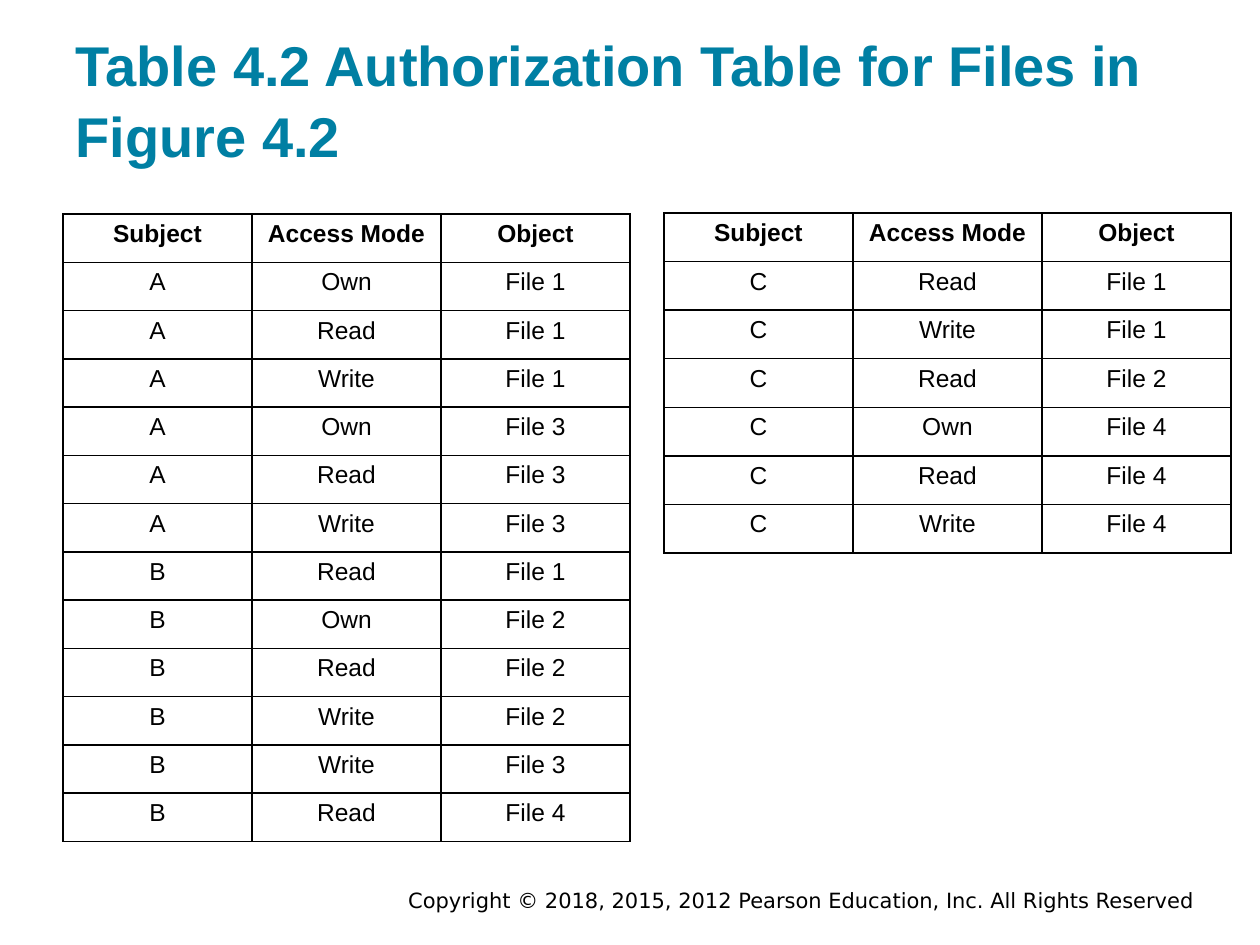
import dataclasses

import lxml.etree
import pptx
import pptx.dml.color
import pptx.enum.text
import pptx.oxml.ns
import pptx.util

ALIGN = pptx.enum.text.PP_ALIGN
ANCHOR = pptx.enum.text.MSO_ANCHOR
EMU_PER_PX = 914400 / 126


@dataclasses.dataclass(frozen=True)
class Theme:
    heading: str = "007FA3"
    ink: str = "000000"
    main_font: str = "Arial"
    footer_font: str = "DejaVu Sans"
    title_size: int = 32
    cell_size: int = 14
    footer_size: int = 12
    border_width: int = 1


def px(length):
    return pptx.util.Emu(round(length * EMU_PER_PX))


def write(frame, text, *, font, size, color, bold=False, align=ALIGN.LEFT,
          anchor=ANCHOR.TOP, line_spacing=None):
    frame.word_wrap = True
    frame.vertical_anchor = anchor
    paragraph = frame.paragraphs[0]
    paragraph.alignment = align
    paragraph.line_spacing = line_spacing
    run = paragraph.add_run()
    run.text = text
    run.font.name = font
    run.font.size = pptx.util.Pt(size)
    run.font.bold = bold
    run.font.color.rgb = pptx.dml.color.RGBColor.from_string(color)


class SlideBuilder:
    def __init__(self, slide, theme):
        self.slide = slide
        self.theme = theme

    def title(self, text, left, top, width, height):
        heading = self.slide.shapes.title
        heading.left, heading.top = px(left), px(top)
        heading.width, heading.height = px(width), px(height)
        frame = heading.text_frame
        frame.auto_size = pptx.enum.text.MSO_AUTO_SIZE.NONE
        frame.margin_top = frame.margin_bottom = pptx.util.Inches(0.1)
        write(frame, text, font=self.theme.main_font, size=self.theme.title_size,
              color=self.theme.heading, bold=True, anchor=ANCHOR.BOTTOM,
              line_spacing=1.05)

    def footer(self, text, left, top, width, height):
        notice = self.slide.shapes.add_textbox(px(left), px(top), px(width), px(height))
        write(notice.text_frame, text, font=self.theme.footer_font,
              size=self.theme.footer_size, color=self.theme.ink,
              align=ALIGN.RIGHT, anchor=ANCHOR.MIDDLE)

    def border(self, cell):
        properties = cell._tc.get_or_add_tcPr()
        for position, side in enumerate(("lnL", "lnR", "lnT", "lnB")):
            line = lxml.etree.Element(
                pptx.oxml.ns.qn(f"a:{side}"),
                w=str(pptx.util.Pt(self.theme.border_width)))
            fill = lxml.etree.SubElement(line, pptx.oxml.ns.qn("a:solidFill"))
            lxml.etree.SubElement(fill, pptx.oxml.ns.qn("a:srgbClr"), val=self.theme.ink)
            properties.insert(position, line)

    def table(self, rows, left, top, width, height):
        grid = self.slide.shapes.add_table(
            len(rows), len(rows[0]), px(left), px(top), px(width), px(height)).table
        for row_index, row in enumerate(rows):
            for column_index, text in enumerate(row):
                cell = grid.cell(row_index, column_index)
                cell.fill.background()
                self.border(cell)
                write(cell.text_frame, text, font=self.theme.main_font,
                      size=self.theme.cell_size, color=self.theme.ink,
                      bold=row_index == 0, align=ALIGN.CENTER)


HEADER = ("Subject", "Access Mode", "Object")

SUBJECTS_A_AND_B = [
    HEADER,
    ("A", "Own", "File 1"),
    ("A", "Read", "File 1"),
    ("A", "Write", "File 1"),
    ("A", "Own", "File 3"),
    ("A", "Read", "File 3"),
    ("A", "Write", "File 3"),
    ("B", "Read", "File 1"),
    ("B", "Own", "File 2"),
    ("B", "Read", "File 2"),
    ("B", "Write", "File 2"),
    ("B", "Write", "File 3"),
    ("B", "Read", "File 4"),
]

SUBJECT_C = [
    HEADER,
    ("C", "Read", "File 1"),
    ("C", "Write", "File 1"),
    ("C", "Read", "File 2"),
    ("C", "Own", "File 4"),
    ("C", "Read", "File 4"),
    ("C", "Write", "File 4"),
]


def main():
    presentation = pptx.Presentation()
    presentation.slide_width, presentation.slide_height = px(1260), px(945)
    slide = presentation.slides.add_slide(presentation.slide_layouts[5])
    builder = SlideBuilder(slide, Theme())
    builder.footer("Copyright © 2018, 2015, 2012 Pearson Education, Inc. All Rights Reserved",
                   220, 886, 987, 28)
    builder.title("Table 4.2 Authorization Table for Files in Figure 4.2", 63, 30, 1134, 151)
    builder.table(SUBJECTS_A_AND_B, 63, 214, 567, 628)
    builder.table(SUBJECT_C, 664, 213, 567, 340)
    presentation.save("out.pptx")


if __name__ == "__main__":
    main()
